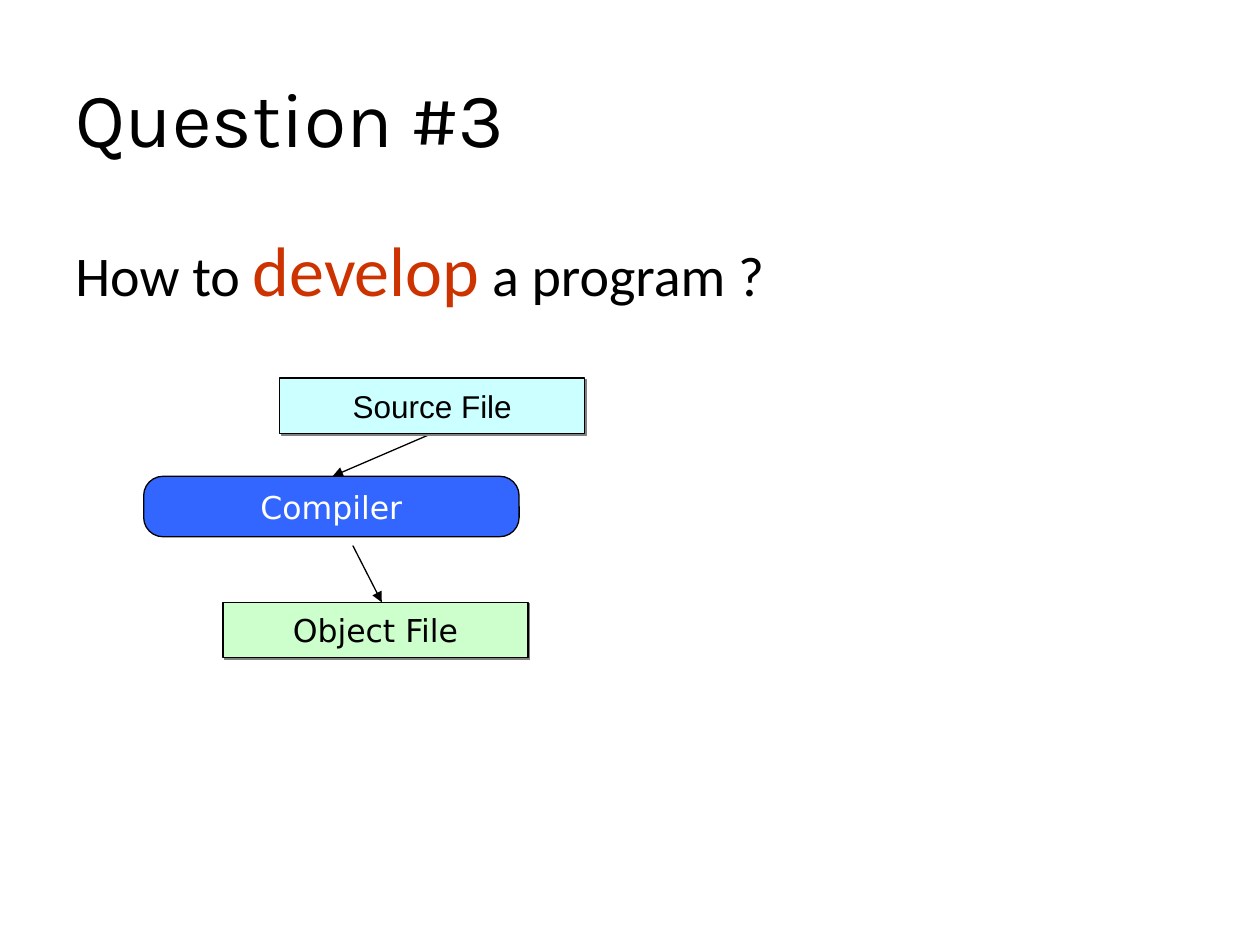
from dataclasses import dataclass

from lxml.etree import SubElement
from pptx import Presentation
from pptx.dml.color import RGBColor
from pptx.enum.shapes import MSO_CONNECTOR as Connector, MSO_SHAPE as Shape
from pptx.enum.text import MSO_ANCHOR as Anchor, PP_ALIGN as Align
from pptx.oxml.ns import qn
from pptx.util import Inches, Pt

BLACK = "000000"
SHADOW = "808080"


@dataclass
class Stage:
    text: str
    left: float
    top: float
    width: float
    height: float
    fill: str
    font: str = "DejaVu Sans"
    color: str = BLACK
    rounded: bool = False


@dataclass
class Arrow:
    start: tuple[float, float]
    end: tuple[float, float]


STAGES = [
    Stage("Source File", 2.22, 3, 2.42, 0.44, "CCFFFF", font="Arial"),
    Stage("Compiler", 1.14, 3.78, 2.98, 0.48, "3366FF", color="FFFFFF", rounded=True),
    Stage("Object File", 1.77, 4.78, 2.42, 0.44, "CCFFCC"),
]
ARROWS = [
    Arrow((3.43, 3.44), (2.64, 3.78)),
    Arrow((2.8, 4.33), (3.03, 4.78)),
]


def rgb(color: str) -> RGBColor:
    return RGBColor.from_string(color)


def style(span, font: str, size: float, color: str = BLACK) -> None:
    span.font.name = font
    span.font.size = Pt(size)
    span.font.color.rgb = rgb(color)


def add_shadow(box) -> None:
    effects = box._element.spPr.find(qn("a:effectLst"))
    shadow = SubElement(effects, qn("a:outerShdw"), dist=str(Pt(1.4)),
                        dir=str(45 * 60000), algn="ctr", rotWithShape="0")
    SubElement(shadow, qn("a:srgbClr"), val=SHADOW)


def draw_stage(page, stage: Stage) -> None:
    kind = Shape.ROUNDED_RECTANGLE if stage.rounded else Shape.RECTANGLE
    box = page.shapes.add_shape(kind, Inches(stage.left), Inches(stage.top),
                                Inches(stage.width), Inches(stage.height))
    box.fill.solid()
    box.fill.fore_color.rgb = rgb(stage.fill)
    box.line.color.rgb = rgb(BLACK)
    box.line.width = Pt(0.75)
    box.shadow.inherit = False
    if stage.rounded:
        box.adjustments[0] = 0.32
    else:
        add_shadow(box)

    frame = box.text_frame
    frame.text = stage.text
    frame.word_wrap = False
    frame.vertical_anchor = Anchor.MIDDLE
    para = frame.paragraphs[0]
    para.alignment = Align.CENTER
    style(para.runs[0], stage.font, 18, stage.color)


def draw_arrow(page, arrow: Arrow) -> None:
    line = page.shapes.add_connector(
        Connector.STRAIGHT, *map(Inches, arrow.start + arrow.end))
    line.line.color.rgb = rgb(BLACK)
    line.line.width = Pt(0.75)
    SubElement(line.line._get_or_add_ln(), qn("a:tailEnd"), type="triangle")
    SubElement(line._element.spPr, qn("a:effectLst"))


def draw_title(page) -> None:
    title = page.shapes.title
    title.left, title.top = Inches(0.5), Inches(0.3)
    title.width, title.height = Inches(9), Inches(1.25)
    title.text_frame.text = "Question #3"
    title.text_frame.vertical_anchor = Anchor.MIDDLE
    para = title.text_frame.paragraphs[0]
    para.alignment = Align.LEFT
    style(para.runs[0], "Karla", 44)


def draw_question(page) -> None:
    box = page.shapes.add_textbox(Inches(0.5), Inches(1.75), Inches(9), Inches(1.1))
    box.text_frame.word_wrap = True
    para = box.text_frame.paragraphs[0]
    for text, size, color in [("How to ", 32, BLACK),
                              ("develop", 40, "CC3300"),
                              (" a program ?", 32, BLACK)]:
        span = para.add_run()
        span.text = text
        style(span, "Calibri", size, color)


def main() -> None:
    deck = Presentation()
    deck.slide_width, deck.slide_height = Inches(10), Inches(7.5)
    page = deck.slides.add_slide(deck.slide_layouts.get_by_name("Title Only"))

    # Heading and question
    draw_title(page)
    draw_question(page)

    # Build steps, from source to object file
    for arrow in ARROWS:
        draw_arrow(page, arrow)
    for stage in STAGES:
        draw_stage(page, stage)

    deck.save("out.pptx")


if __name__ == "__main__":
    main()
